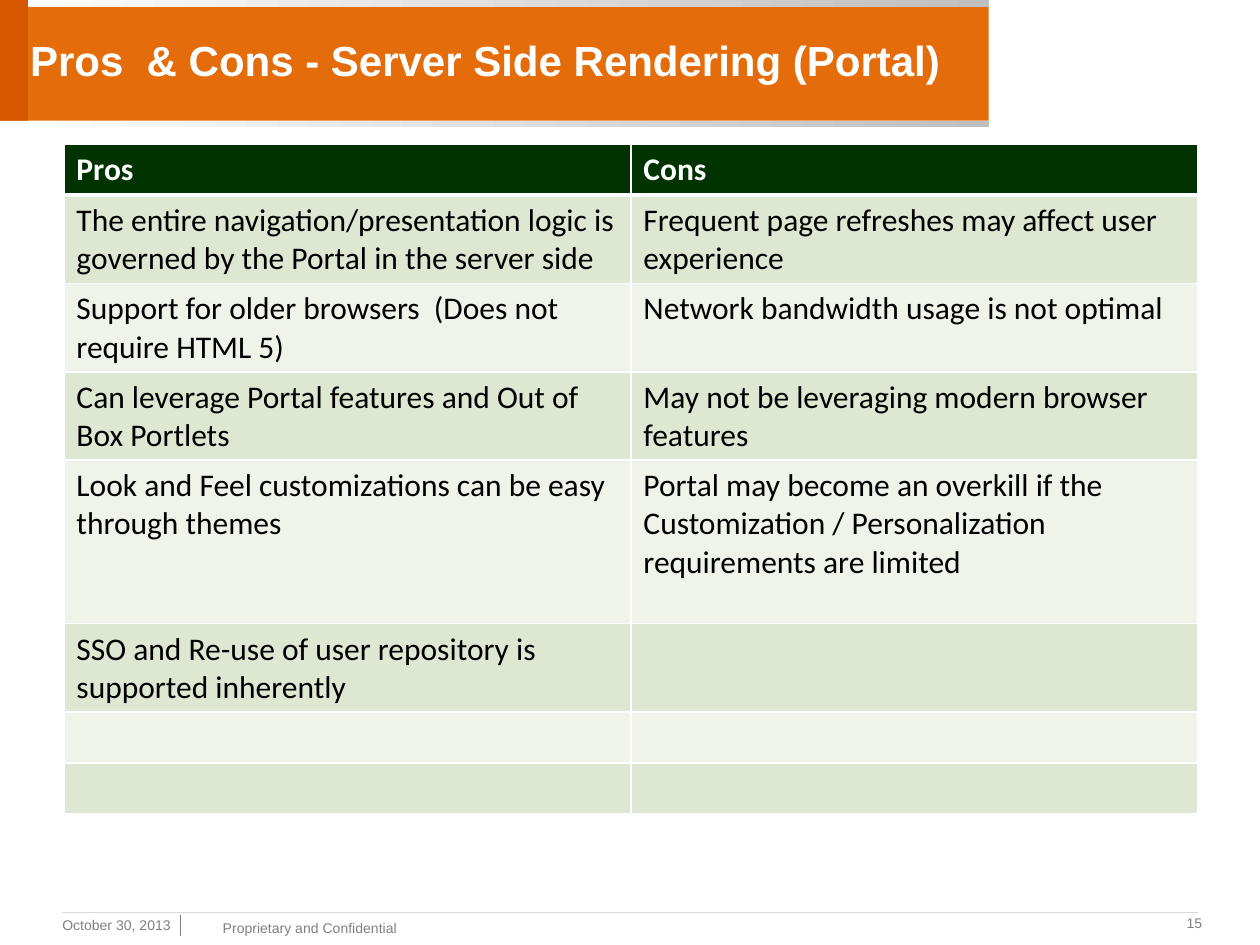
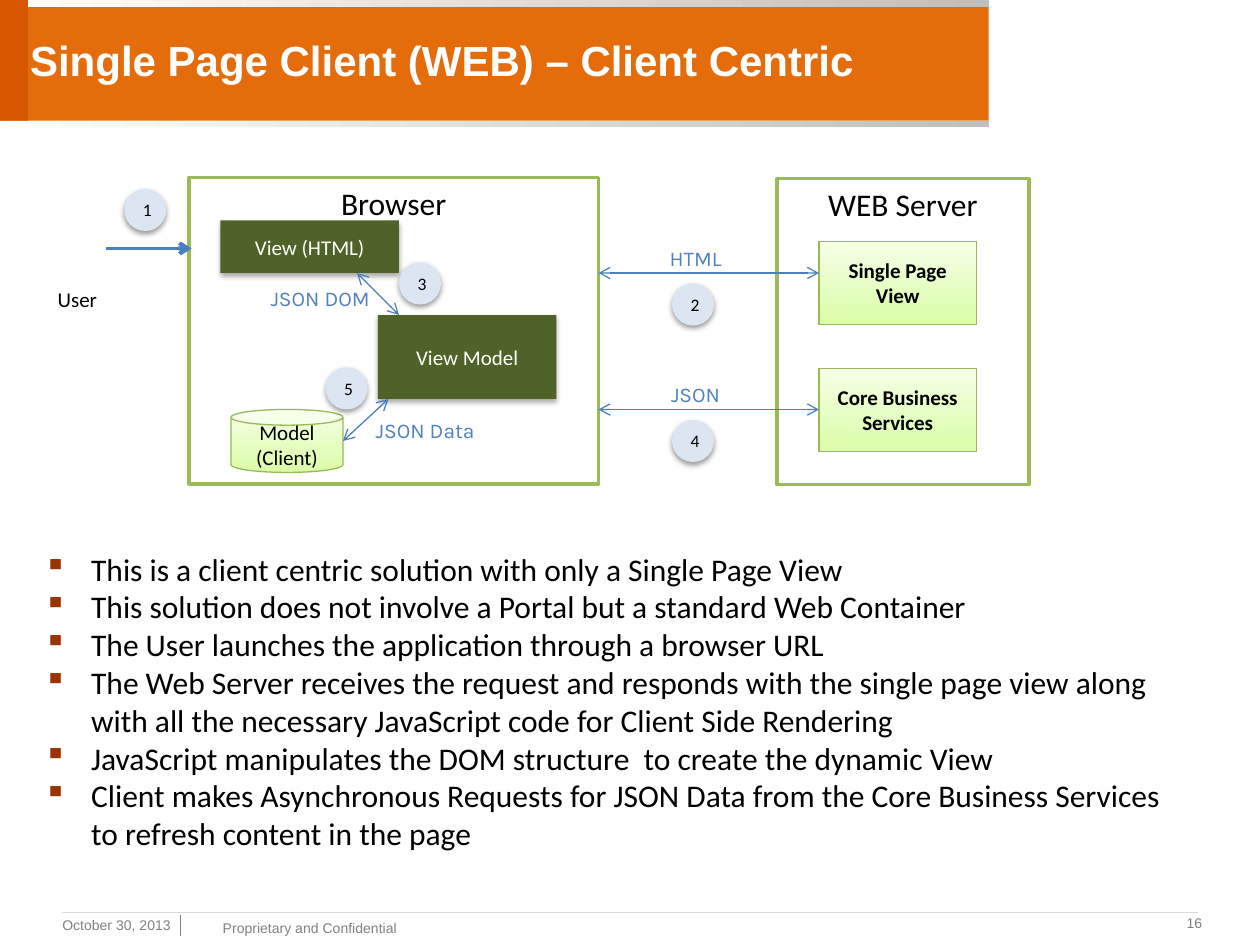
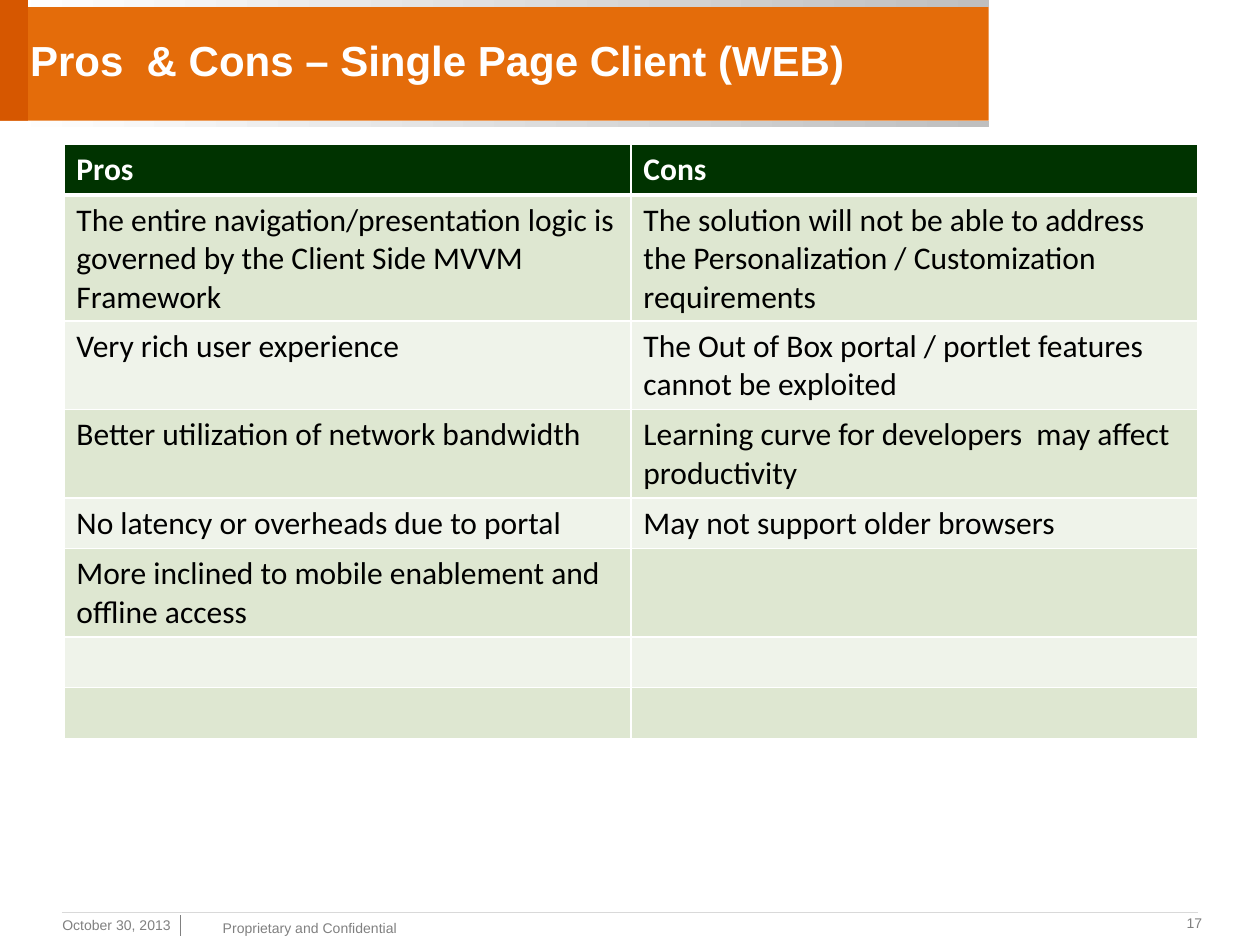
from lxml.etree import SubElement
from pptx import Presentation
from pptx.dml.color import RGBColor
from pptx.enum.shapes import MSO_CONNECTOR, MSO_SHAPE as SHAPE
from pptx.enum.text import MSO_ANCHOR as ANCHOR, PP_ALIGN as ALIGN
from pptx.oxml import parse_xml
from pptx.oxml.ns import nsdecls, qn
from pptx.util import Pt

WHITE = RGBColor(0xFF, 0xFF, 0xFF)
BLACK = RGBColor(0, 0, 0)
ORANGE = RGBColor(0xE4, 0x6C, 0x0A)
DARK_ORANGE = RGBColor(0xD6, 0x57, 0x00)
SILVER = RGBColor(0xBF, 0xBF, 0xBF)
GRAY = RGBColor(0x80, 0x80, 0x80)
LIGHT_GRAY = RGBColor(0xD9, 0xD9, 0xD9)
FOREST = RGBColor(0x00, 0x33, 0x00)
SAGE = RGBColor(0xDE, 0xE7, 0xD1)
PALE_SAGE = RGBColor(0xEF, 0xF3, 0xEA)
OLIVE = RGBColor(0x4F, 0x62, 0x28)
GREEN = RGBColor(0x9B, 0xBB, 0x59)
EDGE_GREEN = RGBColor(0x98, 0xB9, 0x55)
LIME = RGBColor(0xDA, 0xFD, 0xA7)
PALE_LIME = RGBColor(0xF5, 0xFF, 0xE7)
PALE_BLUE = RGBColor(0xDC, 0xE6, 0xF2)
BLUE = RGBColor(0x4F, 0x81, 0xBD)
ARROW_BLUE = RGBColor(0x4B, 0x7E, 0xBC)
RUST = RGBColor(0x99, 0x33, 0x00)

TITLES = [
    "Pros  & Cons - Server Side Rendering (Portal)",
    "Single Page Client (WEB) – Client Centric",
    "Pros  & Cons – Single Page Client (WEB)",
]
FIRST_NUMBER = 15


def add_box(slide, kind, place, text="", fill=None, angle=0, line=None, width=0.75,
            font="Calibri", size=12, color=BLACK, bold=False, align=ALIGN.CENTER,
            anchor=ANCHOR.MIDDLE, shadow=None):
    frame = [Pt(value) for value in place]
    if kind is None:
        shape = slide.shapes.add_textbox(*frame)
    else:
        shape = slide.shapes.add_shape(kind, *frame)
        shape.shadow.inherit = False
        if isinstance(fill, list):
            shape.fill.gradient()
            shape.fill.gradient_angle = angle
            for stop, stop_color in zip(shape.fill.gradient_stops, fill):
                stop.color.rgb = stop_color
        elif fill is None:
            shape.fill.background()
        else:
            shape.fill.solid()
            shape.fill.fore_color.rgb = fill
        if line is None:
            shape.line.fill.background()
        else:
            shape.line.color.rgb = line
            shape.line.width = Pt(width)
    if shadow:
        distance, opacity = shadow
        effects = shape.element.spPr.find(qn("a:effectLst"))
        effects.append(parse_xml(
            f'<a:outerShdw {nsdecls("a")} blurRad="{Pt(3.1)}" dist="{Pt(distance)}" dir="5400000" '
            f'rotWithShape="0"><a:srgbClr val="000000"><a:alpha val="{opacity * 1000}"/>'
            f'</a:srgbClr></a:outerShdw>'))
    text_frame = shape.text_frame
    text_frame.word_wrap = True
    text_frame.vertical_anchor = anchor
    text_frame.text = text
    for paragraph in text_frame.paragraphs:
        paragraph.alignment = align
        for run in paragraph.runs:
            run.font.name = font
            run.font.size = Pt(size)
            run.font.bold = bold
            run.font.color.rgb = color
    return shape


def add_line(slide, points, color, width=0.75, ends=()):
    connector = slide.shapes.add_connector(
        MSO_CONNECTOR.STRAIGHT, *[Pt(value) for value in points])
    connector.line.color.rgb = color
    connector.line.width = Pt(width)
    properties = connector.element.spPr
    for end in ends:
        SubElement(properties.find(qn("a:ln")), qn(f"a:{end}"), type="arrow")
    SubElement(properties, qn("a:effectLst"))
    return connector


presentation = Presentation()
presentation.slide_width = Pt(720)
presentation.slide_height = Pt(540)
layout = presentation.slide_layouts[5]
slides = [presentation.slides.add_slide(layout) for title in TITLES]

for placeholder in list(layout.placeholders)[1:]:
    layout.shapes.element.remove(placeholder.element)

first = slides[0]
footer = dict(font="Arial", size=8, color=GRAY, anchor=ANCHOR.TOP)
shared = [
    add_box(first, SHAPE.RECTANGLE, (0, 0, 565, 69), fill=ORANGE),
    *[add_box(first, SHAPE.RECTANGLE, (0, top, 565, 3.8), fill=[WHITE, SILVER])
      for top in (0, 69)],
    add_box(first, SHAPE.RECTANGLE, (0, 0, 16, 69), fill=DARK_ORANGE),
    add_box(first, None, (120.2, 522, 118, 17), "Proprietary and Confidential",
            align=ALIGN.LEFT, **footer),
    add_box(first, None, (28.5, 520, 96, 18), "October 30, 2013", align=ALIGN.LEFT, **footer),
    add_line(first, (103, 523, 103, 535), GRAY),
    add_line(first, (35.3, 521.3, 684.7, 521.3), LIGHT_GRAY, 0.25),
]
for shape in shared:
    layout.shapes.element.append(shape.element)

for number, (slide, title) in enumerate(zip(slides, TITLES), FIRST_NUMBER):
    heading = slide.shapes.title
    heading.left, heading.top, heading.width, heading.height = Pt(10), Pt(6), Pt(554), Pt(56)
    heading.text_frame.text = title
    heading.text_frame.vertical_anchor = ANCHOR.MIDDLE
    paragraph = heading.text_frame.paragraphs[0]
    paragraph.alignment = ALIGN.LEFT
    run = paragraph.runs[0]
    run.font.name = "Arial"
    run.font.size = Pt(24)
    run.font.bold = True
    run.font.color.rgb = WHITE
    add_box(slide, None, (670.3, 519, 24.5, 17), str(number), **footer)

portal_rows = [
    (29, "Pros", "Cons"),
    (50.5, "The entire navigation/presentation logic is governed by the Portal in the server side",
     "Frequent page refreshes may affect user experience"),
    (50.5, "Support for older browsers  (Does not require HTML 5)",
     "Network bandwidth usage is not optimal"),
    (50.5, "Can leverage Portal features and Out of Box Portlets",
     "May not be leveraging modern browser features"),
    (93.5, "Look and Feel customizations can be easy through themes",
     "Portal may become an overkill if the Customization / Personalization "
     "requirements are limited"),
    (50.5, "SSO and Re-use of user repository is supported inherently", ""),
    (29, "", ""),
    (29, "", ""),
]
client_rows = [
    (29, "Pros", "Cons"),
    (72, "The entire navigation/presentation logic is governed by the Client Side MVVM Framework",
     "The solution will not be able to address the Personalization / Customization requirements"),
    (50.5, "Very rich user experience",
     "The Out of Box portal / portlet features cannot be exploited"),
    (50.5, "Better utilization of network bandwidth",
     "Learning curve for developers  may affect productivity"),
    (29, "No latency or overheads due to portal", "May not support older browsers"),
    (50.5, "More inclined to mobile enablement and offline access", ""),
    (29, "", ""),
    (29, "", ""),
]
for slide, rows in ((slides[0], portal_rows), (slides[2], client_rows)):
    total = sum(row[0] for row in rows)
    table = slide.shapes.add_table(len(rows), 2, Pt(36.5), Pt(82.5), Pt(648), Pt(total)).table
    for row_index, (height, *texts) in enumerate(rows):
        table.rows[row_index].height = Pt(height)
        is_header = row_index == 0
        for column_index, text in enumerate(texts):
            cell = table.cell(row_index, column_index)
            cell.fill.solid()
            cell.fill.fore_color.rgb = FOREST if is_header else (PALE_SAGE, SAGE)[row_index % 2]
            cell.text_frame.text = text
            for run in cell.text_frame.paragraphs[0].runs:
                run.font.name = "Calibri"
                run.font.size = Pt(18)
                run.font.bold = is_header
                run.font.color.rgb = WHITE if is_header else BLACK
            borders = {"lnL": 1, "lnR": 1, "lnT": 3 if row_index == 1 else 1,
                       "lnB": 3 if is_header else 1}
            for position, (side, width) in enumerate(borders.items()):
                cell._tc.tcPr.insert(position, parse_xml(
                    f'<a:{side} {nsdecls("a")} w="{Pt(width)}"><a:solidFill>'
                    f'<a:srgbClr val="{WHITE}"/></a:solidFill></a:{side}>'))

diagram = slides[1]
for place, name in (((444, 102, 144, 175), "WEB Server"), ((108, 101.5, 234, 175), "Browser")):
    add_box(diagram, SHAPE.RECTANGLE, place, name, fill=WHITE, line=GREEN, width=2,
            size=18, anchor=ANCHOR.TOP)

for place, name in (((126, 126, 102, 30), "View (HTML)"), ((216, 180, 102, 48), "View Model")):
    add_box(diagram, SHAPE.RECTANGLE, place, name, fill=OLIVE, color=WHITE, shadow=(1.8, 35))

for kind, place, name, bold in (
    (SHAPE.RECTANGLE, (468, 138, 90, 47.5), "Single Page View", True),
    (SHAPE.RECTANGLE, (468, 210.5, 90, 47.5), "Core Business Services", True),
    (SHAPE.CAN, (132, 234, 64, 36), "Model (Client)", False),
):
    add_box(diagram, kind, place, name, fill=[LIME, PALE_LIME], angle=90,
            line=EDGE_GREEN, bold=bold)

add_box(diagram, None, (16.5, 160, 55.5, 21.5), "User", anchor=ANCHOR.TOP)
add_line(diagram, (60.5, 142, 109.5, 142), ARROW_BLUE, 2.25, ["tailEnd"])
for points in ((196, 252, 222, 228), (228, 180, 204, 156),
               (342, 156, 468, 156), (342, 234, 468, 234)):
    add_line(diagram, points, ARROW_BLUE, ends=["headEnd", "tailEnd"])

for place, name in (
    ((144, 161, 78, 19), "JSON DOM"),
    ((204, 233.5, 78, 24.5), "JSON Data"),
    ((372, 138, 51, 19), "HTML"),
    ((372, 216, 51, 19), "JSON"),
):
    add_box(diagram, SHAPE.ROUNDED_RECTANGLE, place, name, font="Karla", color=BLUE)

step_corners = [(71, 108), (384, 162), (228, 150), (384, 240), (186, 210)]
for step, (left, top) in enumerate(step_corners, 1):
    add_box(diagram, SHAPE.OVAL, (left, top, 24, 24), str(step), fill=PALE_BLUE,
            size=10, shadow=(1.6, 38))

points = [
    "This is a client centric solution with only a Single Page View",
    "This solution does not involve a Portal but a standard Web Container",
    "The User launches the application through a browser URL",
    "The Web Server receives the request and responds with the single page view along "
    "with all the necessary JavaScript code for Client Side Rendering",
    "JavaScript manipulates the DOM structure  to create the dynamic View",
    "Client makes Asynchronous Requests for JSON Data from the Core Business Services "
    "to refresh content in the page",
]
summary = add_box(diagram, None, (18, 310.5, 662.5, 181.5), "\n".join(points), size=18,
                  align=ALIGN.LEFT, anchor=ANCHOR.TOP)
for paragraph in summary.text_frame.paragraphs:
    paragraph.line_spacing = Pt(21.6)
    properties = paragraph._p.get_or_add_pPr()
    properties.set("marL", str(Pt(27)))
    properties.set("indent", str(-Pt(27)))
    bullet_color = SubElement(properties, qn("a:buClr"))
    SubElement(bullet_color, qn("a:srgbClr"), val=str(RUST))
    SubElement(properties, qn("a:buChar"), char="▪")

presentation.save("out.pptx")
